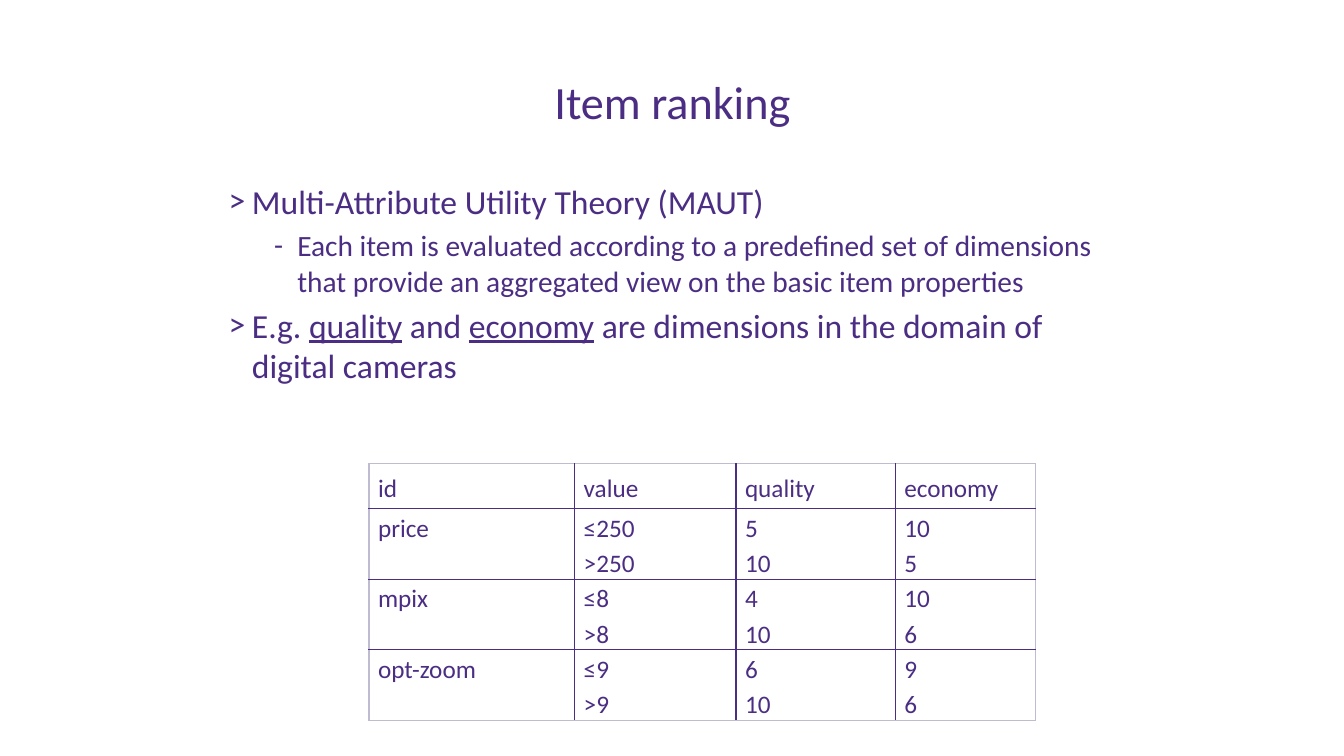
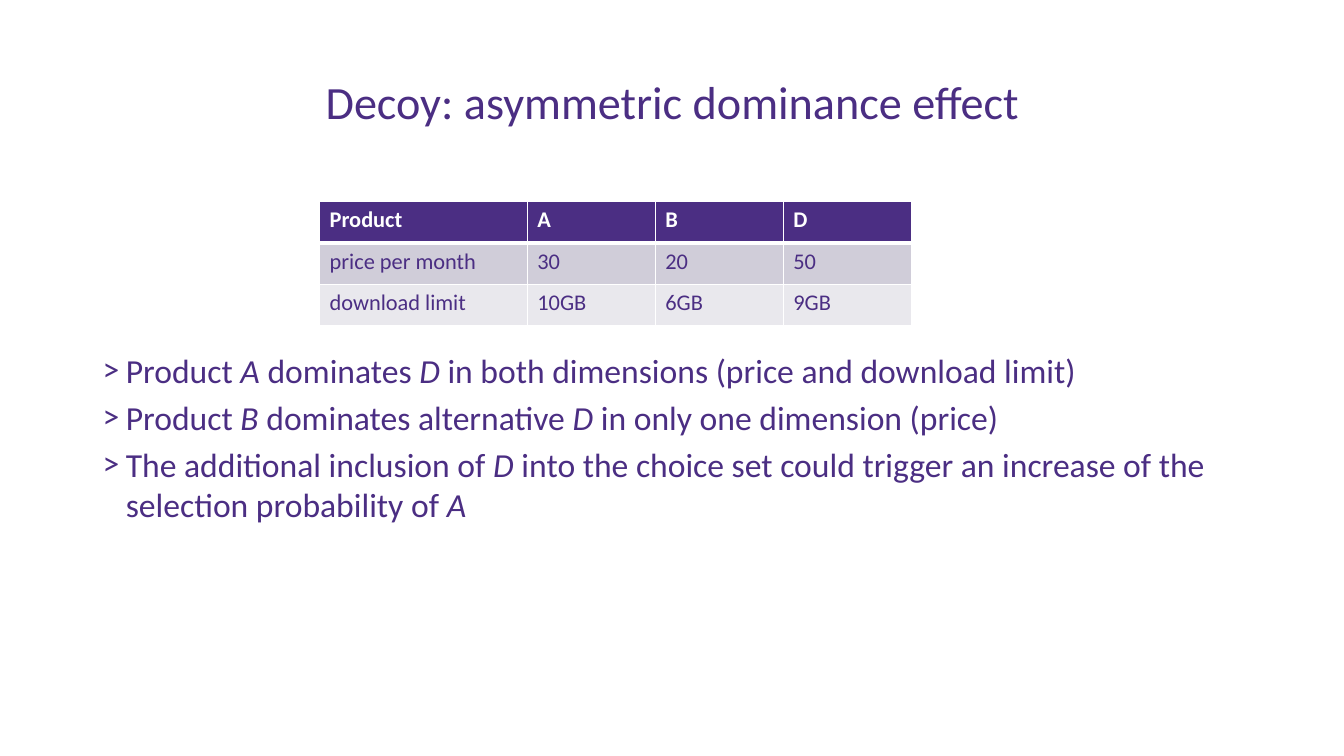
from lxml.etree import SubElement
from pptx import Presentation
from pptx.dml.color import RGBColor
from pptx.enum.text import MSO_ANCHOR as Anchor, PP_ALIGN as Align
from pptx.oxml.ns import qn
from pptx.util import Pt

PX = 9144
FONT = "Calibri"
PURPLE = RGBColor(0x4B, 0x2E, 0x83)
WHITE = RGBColor(0xFF, 0xFF, 0xFF)
OUTLINE = RGBColor(0xBF, 0xBB, 0xD0)
BAND_DARK = RGBColor(0xD0, 0xCD, 0xD9)
BAND_LIGHT = RGBColor(0xE9, 0xE8, 0xED)

TITLE_BOX = (92, 40, 1150, 120)
BULLETS = [(">", 24, 23), ("-", 21, 68)]
HANGING = 23


def px(length):
    """Turn px into EMU."""
    return length * PX


def write(paragraph, text, size, color=PURPLE, bold=False, emphasis="italic",
          align=None, line_spacing=None):
    """Write text into a paragraph; parts between bars get the emphasis."""
    paragraph.alignment = align
    paragraph.line_spacing = line_spacing
    for index, part in enumerate(text.split("|")):
        if part:
            run = paragraph.add_run()
            run.text = part
            run.font.name = FONT
            run.font.size = Pt(size)
            run.font.bold = bold
            run.font.color.rgb = color
            if index % 2:
                setattr(run.font, emphasis, True)


def add_titled_slide(prs, heading):
    """Add a slide with the shared title style."""
    slide = prs.slides.add_slide(prs.slide_layouts[5])
    title = slide.shapes.title
    title.left, title.top, title.width, title.height = map(px, TITLE_BOX)
    title.text_frame.vertical_anchor = Anchor.MIDDLE
    write(title.text_frame.paragraphs[0], heading, 33, align=Align.CENTER)
    return slide


def add_bullets(slide, box, points, emphasis):
    """Add a bulleted list of (level, text) points inside the box."""
    frame = slide.shapes.add_textbox(*map(px, box)).text_frame
    frame.word_wrap = True
    for index, (level, text) in enumerate(points):
        paragraph = frame.add_paragraph() if index else frame.paragraphs[0]
        mark, size, indent = BULLETS[level]
        paragraph.level = level
        paragraph.space_before = Pt(size * 0.2)
        write(paragraph, text, size, emphasis=emphasis)
        properties = paragraph._p.get_or_add_pPr()
        properties.set("marL", str(px(indent)))
        properties.set("indent", str(px(-HANGING)))
        SubElement(properties, qn("a:buFont"), typeface=FONT)
        SubElement(properties, qn("a:buChar"), char=mark)


def add_grid(slide, origin, widths, heights):
    """Add a plain table sized by its columns and rows."""
    size = (sum(widths), sum(heights))
    grid = slide.shapes.add_table(
        len(heights), len(widths), *map(px, origin + size)).table
    grid.first_row = grid.horz_banding = False
    for column, width in zip(grid.columns, widths):
        column.width = px(width)
    for row, height in zip(grid.rows, heights):
        row.height = px(height)
    return grid


def set_borders(cell, **edges):
    """Draw the cell edges L, R, T and B given as (colour, points)."""
    properties = cell._tc.get_or_add_tcPr()
    for side in "LRTB":
        color, points = edges[side]
        line = SubElement(properties, qn(f"a:ln{side}"), w=str(Pt(points)))
        fill = SubElement(line, qn("a:solidFill"))
        SubElement(fill, qn("a:srgbClr"), val=str(color))


def add_utility_table(slide, origin, rows):
    """Add the ruled table of item properties and their scores."""
    widths = [204, 160, 158, 139]
    heights = [44] + [70] * (len(rows) - 1)
    grid = add_grid(slide, origin, widths, heights)
    inner, outer = (PURPLE, 1), (OUTLINE, 1)
    for r, row in enumerate(rows):
        for c, entry in enumerate(row):
            cell = grid.cell(r, c)
            set_borders(cell,
                        L=inner if c else outer,
                        R=inner if c < len(row) - 1 else outer,
                        T=inner if r else outer,
                        B=inner if r < len(rows) - 1 else outer)
            cell.fill.background()
            cell.margin_left = cell.margin_right = px(9)
            cell.margin_top = cell.margin_bottom = px(0 if r else 5)
            for index, line in enumerate(entry.split("\n")):
                frame = cell.text_frame
                paragraph = frame.add_paragraph() if index else frame.paragraphs[0]
                write(paragraph, line, 18, line_spacing=1.15)


def add_product_table(slide, origin, rows):
    """Add the banded product comparison with its dark header."""
    grid = add_grid(slide, origin, [206, 127, 127, 127], [41] * len(rows))
    thin, thick = (WHITE, 1), (WHITE, 3)
    for r, row in enumerate(rows):
        is_header = r == 0
        band = PURPLE if is_header else BAND_DARK if r % 2 else BAND_LIGHT
        for c, entry in enumerate(row):
            cell = grid.cell(r, c)
            set_borders(cell, L=thin, R=thin,
                        T=thick if r == 1 else thin,
                        B=thick if is_header else thin)
            cell.fill.solid()
            cell.fill.fore_color.rgb = band
            write(cell.text_frame.paragraphs[0], entry, 16,
                  color=WHITE if is_header else PURPLE, bold=is_header)


def build_ranking_slide(prs):
    """Build the slide on utility-based item ranking."""
    slide = add_titled_slide(prs, "Item ranking")
    add_bullets(slide, (217, 175, 915, 495), [
        (0, "Multi-Attribute Utility Theory (MAUT)"),
        (1, "Each item is evaluated according to a predefined set of dimensions "
            "that provide an aggregated view on the basic item properties"),
        (0, "E.g. |quality| and |economy| are dimensions in the domain of "
            "digital cameras"),
    ], "underline")
    add_utility_table(slide, (366, 460), [
        ["id", "value", "quality", "economy"],
        ["price", "≤250\n>250", "5\n10", "10\n5"],
        ["mpix", "≤8\n>8", "4\n10", "10\n6"],
        ["opt-zoom", "≤9\n>9", "6\n10", "9\n6"],
    ])


def build_decoy_slide(prs):
    """Build the slide on the asymmetric dominance effect."""
    slide = add_titled_slide(prs, "Decoy: asymmetric dominance effect")
    add_bullets(slide, (92, 342, 1150, 334), [
        (0, "Product |A| dominates |D| in both dimensions (price and download limit)"),
        (0, "Product |B| dominates alternative |D| in only one dimension (price)"),
        (0, "The additional inclusion of |D| into the choice set could trigger "
            "an increase of the selection probability of |A|"),
    ], "italic")
    add_product_table(slide, (317, 200), [
        ["Product", "A", "B", "D"],
        ["price per month", "30", "20", "50"],
        ["download limit", "10GB", "6GB", "9GB"],
    ])


def main():
    """Build and save the presentation."""
    prs = Presentation()
    prs.slide_width, prs.slide_height = px(1333), px(750)
    build_ranking_slide(prs)
    build_decoy_slide(prs)
    prs.save("out.pptx")


if __name__ == "__main__":
    main()
